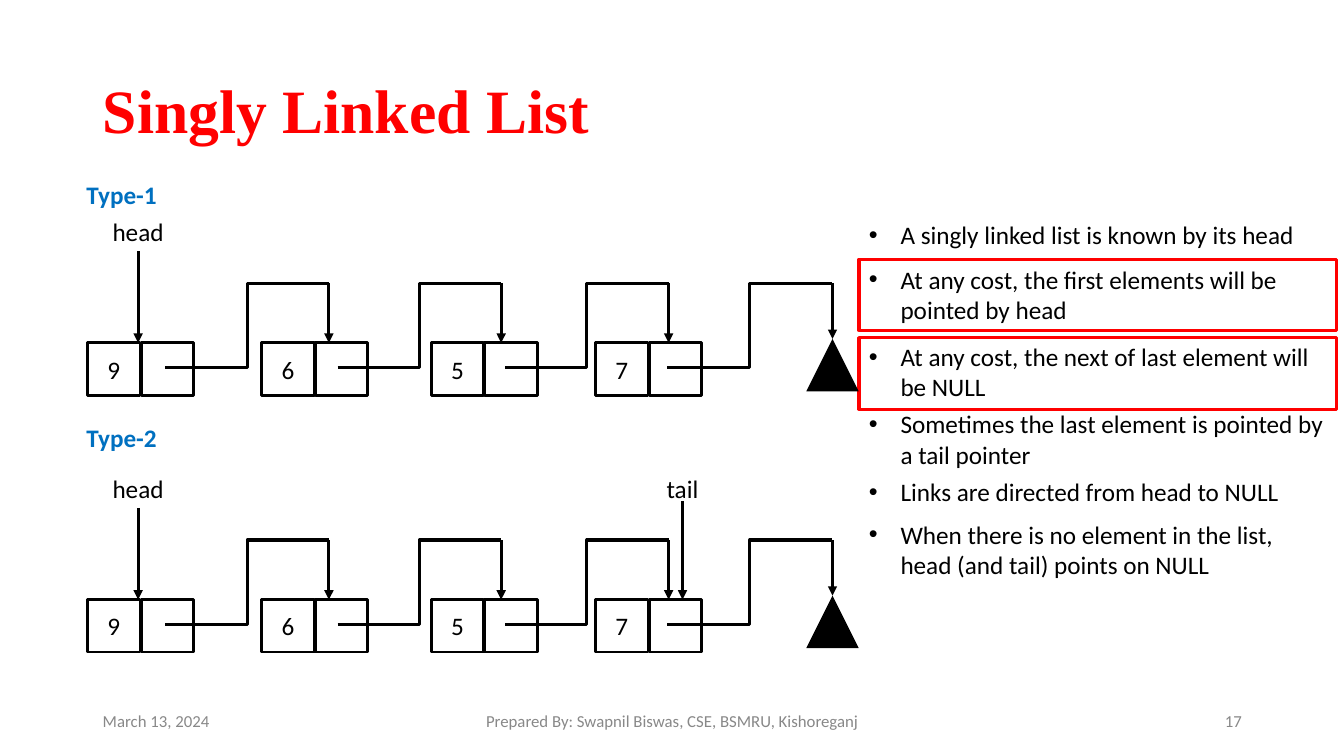
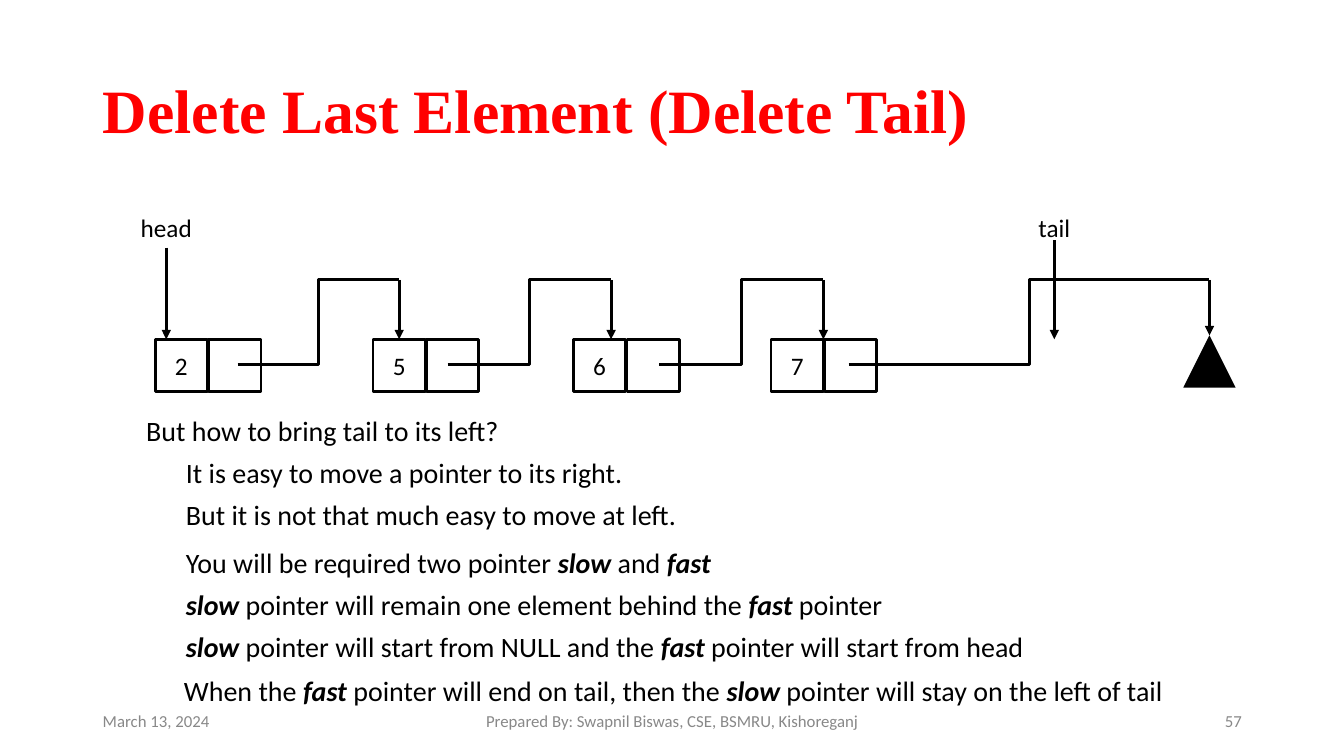
"""Build two slides on singly linked lists."""
import lxml.etree
import pptx
import pptx.dml.color
import pptx.enum.shapes
import pptx.enum.text
import pptx.oxml.ns
import pptx.util

Cm = pptx.util.Cm
Pt = pptx.util.Pt
Align = pptx.enum.text.PP_ALIGN
Anchor = pptx.enum.text.MSO_ANCHOR
Shape = pptx.enum.shapes.MSO_SHAPE
Line = pptx.enum.shapes.MSO_CONNECTOR
qn = pptx.oxml.ns.qn


class LinkedListDeck:
    """Hold the shared style and the slide being drawn."""

    colors = {"title": "FF0000", "frame": "FF0000", "heading": "0070C0",
              "ink": "000000", "footer": "888888"}
    cell = 1.32
    cell_step = 1.35

    def __init__(self):
        self.deck = pptx.Presentation()
        self.deck.slide_width, self.deck.slide_height = Cm(33.87), Cm(19.05)
        self.page = None

    def color(self, name):
        return pptx.dml.color.RGBColor.from_string(self.colors[name])

    def style(self, para, size, color="ink", bold=None, name="Calibri"):
        font = para.font
        font.size, font.name, font.bold = Pt(size), name, bold
        font.color.rgb = self.color(color)

    def place(self, shape, left, top, width, height):
        shape.left, shape.top = Cm(left), Cm(top)
        shape.width, shape.height = Cm(width), Cm(height)

    def new_page(self, title, number):
        self.page = self.deck.slides.add_slide(self.deck.slide_layouts[1])
        box = self.page.shapes.title
        self.place(box, 2.34, 1.02, 29.21, 3.68)
        frame = box.text_frame
        frame.text = title
        frame.auto_size = pptx.enum.text.MSO_AUTO_SIZE.NONE
        frame.vertical_anchor = Anchor.MIDDLE
        para = frame.paragraphs[0]
        para.alignment, para.line_spacing = Align.LEFT, 0.9
        self.style(para, 44, "title", True, "Times New Roman")
        footers = [("March 13, 2024", 2.34, 7.62, Align.LEFT),
                   ("Prepared By: Swapnil Biswas, CSE, BSMRU, Kishoreganj",
                    11.23, 11.43, Align.CENTER),
                   (number, 23.93, 7.62, Align.RIGHT)]
        for text, left, width, align in footers:
            self.text(text, left, 17.65, width, align, 12, "footer")

    def text(self, text, left, top, width, align=Align.LEFT, size=18,
             color="ink", bold=None):
        box = self.page.shapes.add_textbox(Cm(left), Cm(top), Cm(width), Cm(1.02))
        frame = box.text_frame
        frame.word_wrap = True
        frame.vertical_anchor = Anchor.MIDDLE
        frame.text = text
        para = frame.paragraphs[0]
        para.alignment = align
        self.style(para, size, color, bold)

    def body(self, items, left, top, width, height, size, bullet=None):
        """Fill the body with (text, indent, gap before); *word* is emphasised."""
        box = self.page.placeholders[1]
        self.place(box, left, top, width, height)
        frame = box.text_frame
        frame.auto_size = pptx.enum.text.MSO_AUTO_SIZE.NONE
        frame.vertical_anchor = Anchor.TOP
        for index, (text, indent, gap) in enumerate(items):
            para = frame.add_paragraph() if index else frame.paragraphs[0]
            props = para._p.get_or_add_pPr()
            props.set("marL", str(Cm(indent)))
            props.set("indent", str(-Cm(indent) if bullet else 0))
            if bullet:
                lxml.etree.SubElement(props, qn("a:buFont")).set("typeface", "Arial")
                lxml.etree.SubElement(props, qn("a:buChar")).set("char", bullet)
            else:
                lxml.etree.SubElement(props, qn("a:buNone"))
            para.space_before = Pt(gap)
            self.style(para, size)
            for order, part in enumerate(text.split("*")):
                if part:
                    span = para.add_run()
                    span.text = part
                    if order % 2:
                        span.font.bold = span.font.italic = True

    def shape(self, kind, left, top, width, height, fill=None, line=None, weight=2):
        box = self.page.shapes.add_shape(kind, Cm(left), Cm(top), Cm(width), Cm(height))
        box.shadow.inherit = False
        if fill:
            box.fill.solid()
            box.fill.fore_color.rgb = self.color(fill)
        else:
            box.fill.background()
        if line:
            box.line.color.rgb = self.color(line)
            box.line.width = Pt(weight)
        else:
            box.line.fill.background()
        return box

    def connector(self, kind, x1, y1, x2, y2, arrow=False):
        line = self.page.shapes.add_connector(kind, Cm(x1), Cm(y1), Cm(x2), Cm(y2))
        line.line.color.rgb = self.color("ink")
        line.line.width = Pt(2.25)
        if arrow:
            outline = line.line._get_or_add_ln()
            lxml.etree.SubElement(outline, qn("a:tailEnd")).set("type", "triangle")
        lxml.etree.SubElement(line._element.spPr, qn("a:effectLst"))
        return line

    def node(self, value, left, top):
        first = self.shape(Shape.RECTANGLE, left, top, self.cell, self.cell, line="ink")
        first.text_frame.text = value
        first.text_frame.vertical_anchor = Anchor.MIDDLE
        para = first.text_frame.paragraphs[0]
        para.alignment = Align.CENTER
        self.style(para, 18)
        self.shape(Shape.RECTANGLE, left + self.cell_step, top,
                   self.cell, self.cell, line="ink")
        return first

    def link(self, start, end, top, target):
        self.connector(Line.ELBOW, start, top + 0.63, end, top - 1.5)
        arrow = self.connector(Line.STRAIGHT, end, top - 1.5, end, top, True)
        if abs(target.left + target.width / 2 - Cm(end)) < Cm(0.05):
            arrow.end_connect(target, 0)

    def chain(self, nodes, null_left, top):
        """Draw nodes given as (value, left, link start, link end), then NULL."""
        targets = [self.node(value, left, top) for value, left, _, _ in nodes]
        targets.append(self.shape(Shape.ISOSCELES_TRIANGLE, null_left, top - 0.1,
                                  self.cell, self.cell, fill="ink"))
        for (_, _, start, end), target in zip(nodes, targets[1:]):
            self.link(start, end, top, target)

    def pointer(self, name, center, top, length):
        self.text(name, center - 1, top - 3.32, 2, Align.CENTER)
        self.connector(Line.STRAIGHT, center, top - length, center, top, True)


def main():
    show = LinkedListDeck()

    show.new_page("Singly Linked List", "17")
    show.body([
        ("A singly linked list is known by its head", 0.8, 0),
        ("At any cost, the first elements will be pointed by head", 0.8, 10),
        ("At any cost, the next of last element will be NULL", 0.8, 12),
        ("Sometimes the last element is pointed by a tail pointer", 0.8, 5),
        ("Links are directed from head to NULL", 0.8, 5),
        ("When there is no element in the list, head (and tail) points on NULL",
         0.8, 9),
    ], 21.64, 5.41, 12.04, 9.45, 18, "•")
    for top in (6.53, 8.51):
        show.shape(Shape.RECTANGLE, 21.65, top, 12.04, 1.8, line="frame", weight=2.25)
    nodes = [("9", 2.21, 4.17, 8.29), ("6", 6.6, 8.51, 12.63),
             ("5", 10.87, 12.73, 16.85), ("7", 15.01, 16.81, 20.98)]
    for heading, heading_top, top in (("Type-1", 4.39, 8.64), ("Type-2", 10.52, 15.11)):
        show.text(heading, 1.93, heading_top, 2.6, color="heading", bold=True)
        show.chain(nodes, 20.32, top)
        show.pointer("head", 3.48, top, 2.31)
    show.pointer("tail", 17.2, 15.11, 2.49)

    show.new_page("Delete Last Element (Delete Tail)", "57")
    show.body([
        ("But how to bring tail to its left?", 0, 0),
        ("It is easy to move a pointer to its right.", 1, 6),
        ("But it is not that much easy to move at left.", 1, 6),
        ("You will be required two pointer *slow* and *fast*", 1, 10),
        ("*slow* pointer will remain one element behind the *fast* pointer", 1, 6.5),
        ("*slow* pointer will start from NULL and the *fast* pointer will start"
         " from head", 1, 6),
        ("When the *fast* pointer will end on tail, then the *slow* pointer will"
         " stay on the left of tail", 0.95, 7),
    ], 3.43, 10.29, 28, 7.75, 20)
    top = 8.55
    show.chain([("2", 3.91, 5.99, 10.06), ("5", 9.4, 11.28, 15.4),
                ("6", 14.45, 16.61, 20.75), ("7", 19.43, 21.39, 30.48)], 29.82, top)
    show.pointer("head", 4.19, top, 2.31)
    show.pointer("tail", 26.57, top, 2.49)

    show.deck.save("out.pptx")


if __name__ == "__main__":
    main()
